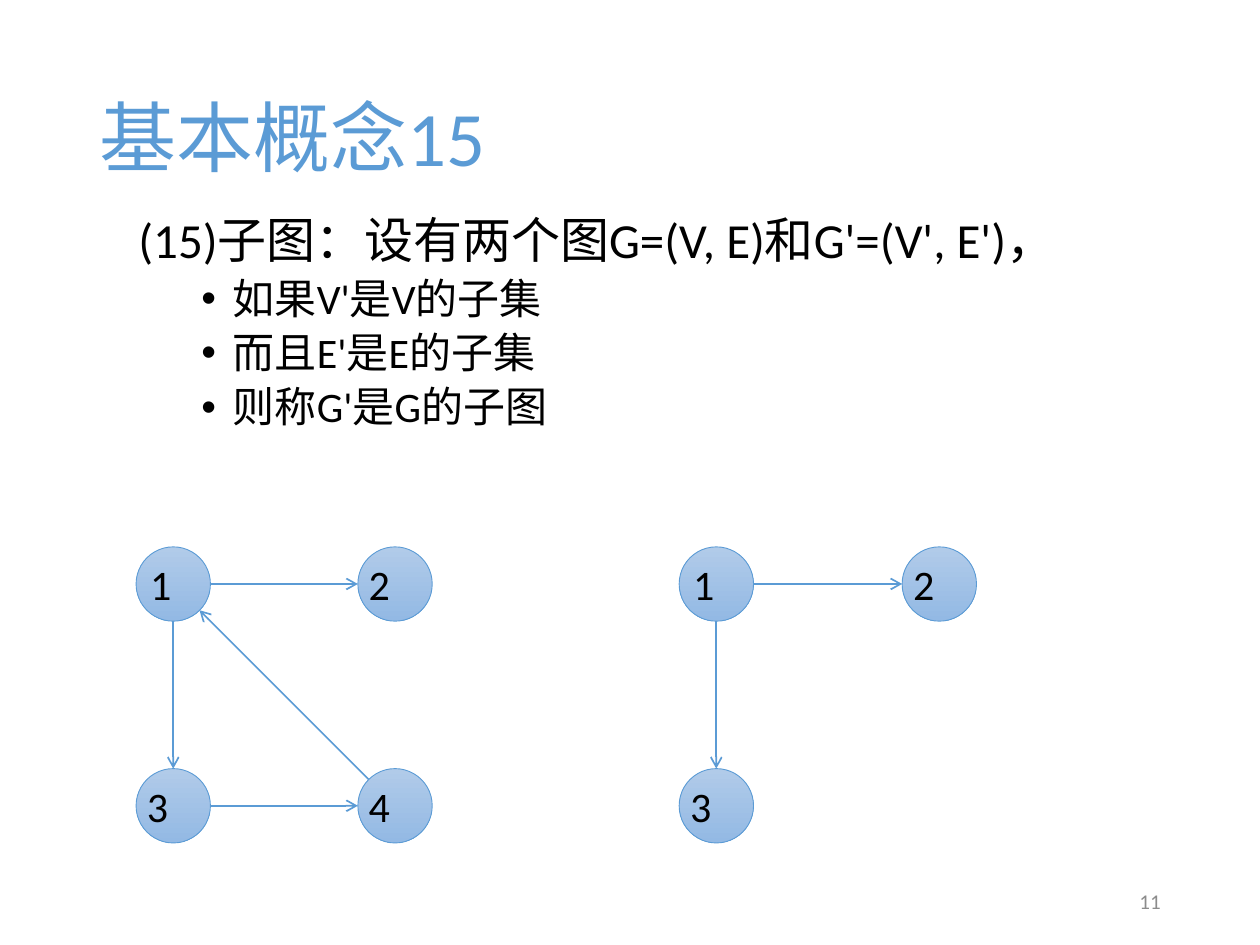
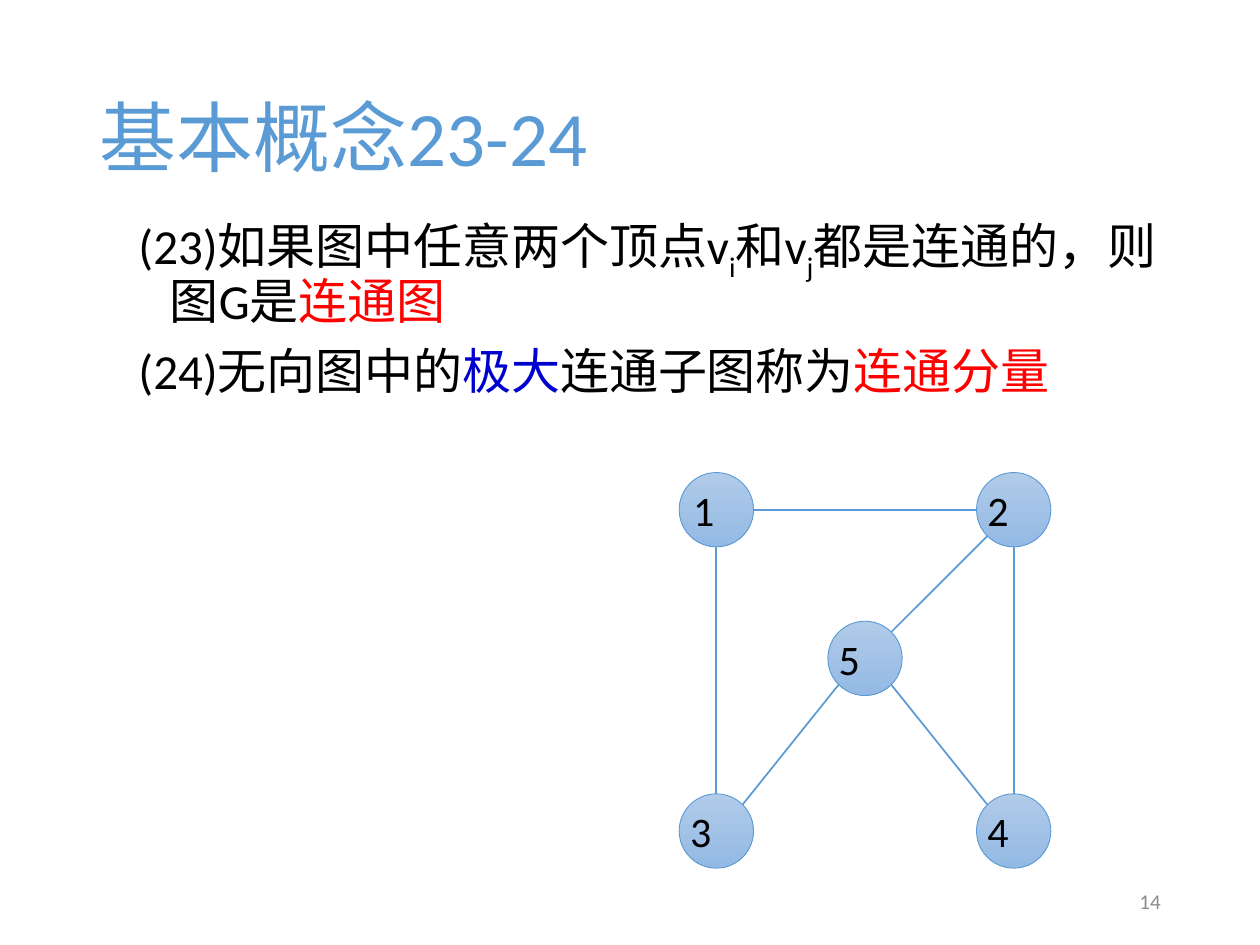
"""Build two graph theory slides on subgraphs and connected graphs."""
from math import atan2, cos, degrees, radians, sin

from lxml.etree import SubElement
from pptx import Presentation
from pptx.dml.color import RGBColor
from pptx.enum.shapes import MSO_CONNECTOR, MSO_SHAPE
from pptx.enum.text import MSO_ANCHOR, MSO_AUTO_SIZE, PP_ALIGN
from pptx.oxml.ns import qn
from pptx.util import Inches, Pt

COLORS = {
    "accent": "5B9BD5",
    "node_top": "B1CBE9",
    "node_bottom": "93B9E4",
    "text": "000000",
    "term": "FF0000",
    "emphasis": "0000CC",
    "number": "8C8C8C",
}
FONT = "Calibri"
NODE_SIZE = 0.59
LEVELS = [
    {"size": 28, "before": 10, "margin": 0.25, "bullet": None},
    {"size": 24, "before": 5, "margin": 0.75, "bullet": "•"},
]


def color(name):
    return RGBColor.from_string(COLORS[name])


def apply_format(target, values):
    for name, value in values.items():
        setattr(target, name, value)


def add_run(paragraph, text, size, color_name="text", subscript=False):
    run = paragraph.add_run()
    run.text = text
    apply_format(run.font, {"name": FONT, "size": Pt(size)})
    run.font.color.rgb = color(color_name)
    if subscript:
        run.font._element.set("baseline", "-25000")


def add_title(slide, text):
    title = slide.shapes.title
    apply_format(title, {"left": Inches(0.69), "top": Inches(0.4),
                         "width": Inches(8.62), "height": Inches(1.45)})
    apply_format(title.text_frame, {"vertical_anchor": MSO_ANCHOR.MIDDLE,
                                    "auto_size": MSO_AUTO_SIZE.NONE,
                                    "word_wrap": True})
    paragraph = title.text_frame.paragraphs[0]
    apply_format(paragraph, {"alignment": PP_ALIGN.LEFT, "line_spacing": 0.9})
    add_run(paragraph, text, 44, "accent")


def add_text_box(slide, left, top, width, height):
    box = slide.shapes.add_textbox(*map(Inches, (left, top, width, height)))
    box.text_frame.word_wrap = True
    return box.text_frame


def add_body(slide, width, paragraphs):
    frame = add_text_box(slide, 1, 1.67, width, 5)
    for index, (level, runs) in enumerate(paragraphs):
        style = LEVELS[level]
        paragraph = frame.add_paragraph() if index else frame.paragraphs[0]
        apply_format(paragraph, {"level": level, "line_spacing": 0.9,
                                 "space_before": Pt(style["before"])})
        properties = paragraph._p.get_or_add_pPr()
        properties.set("marL", str(Inches(style["margin"])))
        properties.set("indent", str(Inches(-0.25)))
        if style["bullet"]:
            SubElement(properties, qn("a:buFont"), typeface="Arial")
            SubElement(properties, qn("a:buChar"), char=style["bullet"])
        for text, *run_format in runs:
            add_run(paragraph, text, style["size"], *run_format)


def add_slide_number(slide, number):
    frame = add_text_box(slide, 7.06, 6.95, 2.25, 0.4)
    frame.vertical_anchor = MSO_ANCHOR.MIDDLE
    paragraph = frame.paragraphs[0]
    paragraph.alignment = PP_ALIGN.RIGHT
    add_run(paragraph, str(number), 12, "number")


def add_node(slide, label, left, top):
    node = slide.shapes.add_shape(
        MSO_SHAPE.OVAL, *map(Inches, (left, top, NODE_SIZE, NODE_SIZE)))
    node.shadow.inherit = False
    node.fill.gradient()
    node.fill.gradient_angle = 270
    for stop, name in zip(node.fill.gradient_stops, ("node_top", "node_bottom")):
        stop.color.rgb = color(name)
    node.line.color.rgb = color("accent")
    node.line.width = Pt(0.5)
    apply_format(node.text_frame, {"margin_left": 0, "margin_top": 0,
                                   "margin_right": Inches(0.2), "margin_bottom": 0,
                                   "vertical_anchor": MSO_ANCHOR.MIDDLE})
    paragraph = node.text_frame.paragraphs[0]
    paragraph.alignment = PP_ALIGN.CENTER if label == 1 else PP_ALIGN.LEFT
    add_run(paragraph, str(label), 24)
    return node


def site_position(node, site):
    """Return one of the eight rim points, counted counterclockwise from the top."""
    angle = radians(90 + 45 * site)
    radius = node.width / 2
    return (round(node.left + radius * (1 + cos(angle))),
            round(node.top + radius * (1 - sin(angle))))


def add_edge(slide, start, end, directed):
    angle = degrees(atan2(start.top - end.top, end.left - start.left))
    start_site = round((angle - 90) / 45) % 8
    end_site = (start_site + 4) % 8
    edge = slide.shapes.add_connector(
        MSO_CONNECTOR.STRAIGHT, *site_position(start, start_site),
        *site_position(end, end_site))
    edge.line.color.rgb = color("accent")
    edge.line.width = Pt(1)
    links = edge._element.find(".//" + qn("p:cNvCxnSpPr"))
    for tag, node, site in (("a:stCxn", start, start_site),
                            ("a:endCxn", end, end_site)):
        SubElement(links, qn(tag), id=str(node.shape_id), idx=str(site))
    properties = edge._element.spPr
    if directed:
        SubElement(properties.find(qn("a:ln")), qn("a:tailEnd"), type="arrow")
    SubElement(properties, qn("a:effectLst"))


def add_graph(slide, positions, edges, directed=False):
    nodes = {label: add_node(slide, label, *position)
             for label, position in positions.items()}
    for start, end in edges:
        add_edge(slide, nodes[start], nodes[end], directed)


def add_concept_slide(presentation, title, number, body_width, paragraphs):
    slide = presentation.slides.add_slide(presentation.slide_layouts[5])
    add_title(slide, title)
    add_body(slide, body_width, paragraphs)
    add_slide_number(slide, number)
    return slide


def main():
    presentation = Presentation()
    presentation.slide_width = Inches(10)
    presentation.slide_height = Inches(7.5)

    subgraph = add_concept_slide(presentation, "基本概念15", 11, 8.7, [
        (0, [("(15)子图：设有两个图G=(V, E)和G'=(V', E')，",)]),
        (1, [("如果V'是V的子集",)]),
        (1, [("而且E'是E的子集",)]),
        (1, [("则称G'是G的子图",)]),
    ])
    add_graph(subgraph,
              {1: (1.08, 4.34), 2: (2.84, 4.34), 3: (1.08, 6.1), 4: (2.84, 6.1)},
              [(1, 2), (1, 3), (3, 4), (4, 1)], directed=True)
    add_graph(subgraph, {1: (5.39, 4.34), 2: (7.16, 4.34), 3: (5.39, 6.1)},
              [(1, 2), (1, 3)], directed=True)

    connected = add_concept_slide(presentation, "基本概念23-24", 14, 8.31, [
        (0, [("(23)如果图中任意两个顶点v",), ("i", "text", True), ("和v",),
             ("j", "text", True), ("都是连通的，则图G是",), ("连通图", "term")]),
        (0, [("(24)无向图中的",), ("极大", "emphasis"),
             ("连通子图称为",), ("连通分量", "term")]),
    ])
    add_graph(connected,
              {1: (5.39, 3.75), 2: (7.75, 3.75), 3: (5.39, 6.3),
               4: (7.75, 6.3), 5: (6.57, 4.93)},
              [(1, 2), (1, 3), (4, 2), (5, 3), (5, 2), (5, 4)])

    presentation.save("out.pptx")


if __name__ == "__main__":
    main()
